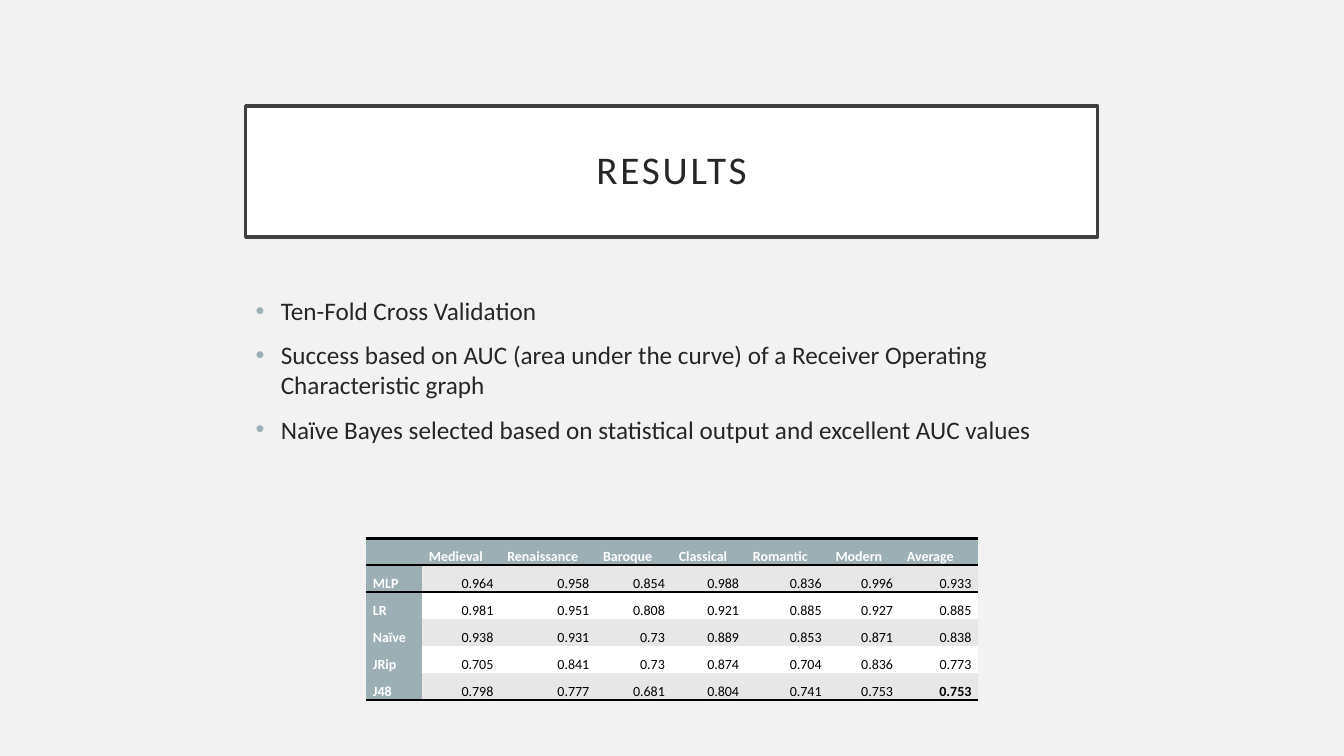
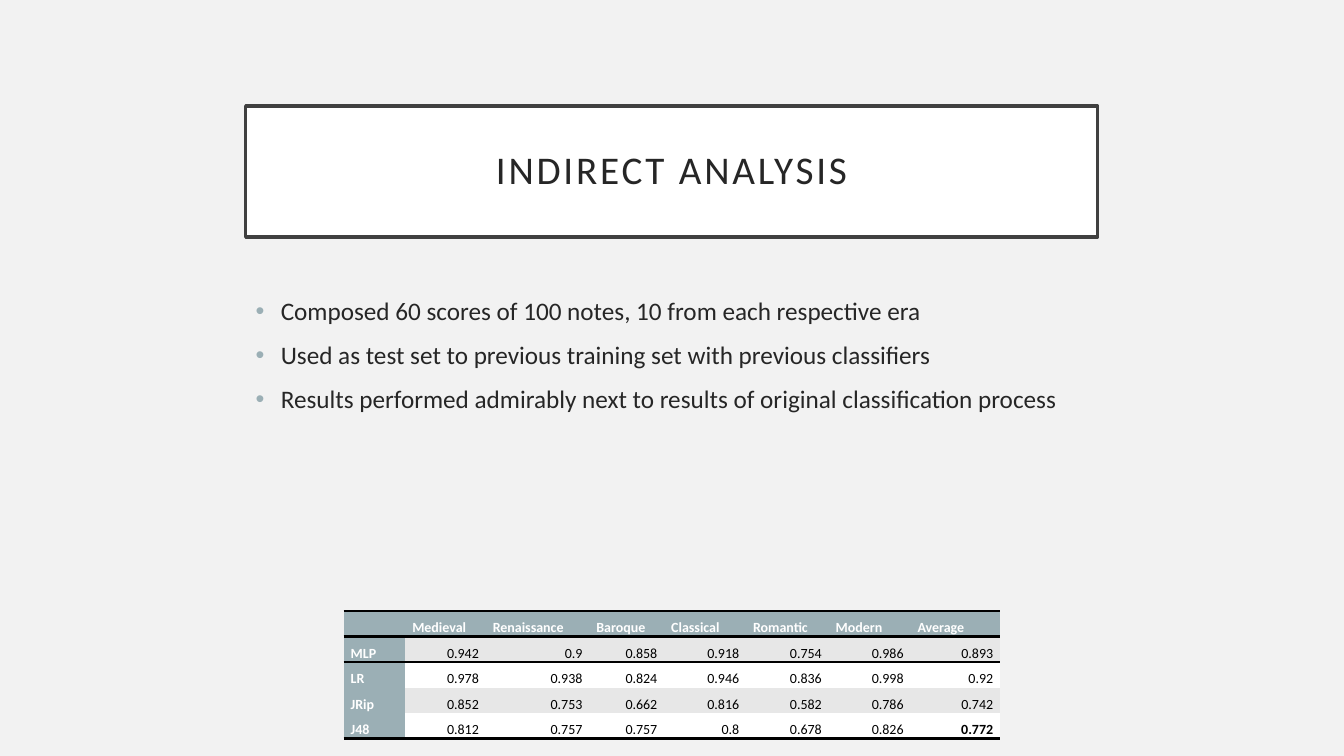
import pptx
import pptx.dml.color
import pptx.enum.shapes
import pptx.enum.text
import pptx.oxml.ns
import pptx.util
from lxml import etree

Pt = pptx.util.Pt
qn = pptx.oxml.ns.qn
ALIGN = pptx.enum.text.PP_ALIGN
ANCHOR = pptx.enum.text.MSO_ANCHOR

BACKGROUND, WHITE, BLACK = "F2F2F2", "FFFFFF", "000000"
INK, FRAME, ACCENT, BAND = "262626", "404040", "9BAFB5", "E7E7E7"
LEFT, WIDTH = 175.5, 608.5
PLAIN_TABLE_STYLE = "{2D5ABB26-0587-4C30-8999-92F81FD0307C}"

TITLE_FRAME = {
    "word_wrap": True, "vertical_anchor": ANCHOR.MIDDLE,
    "margin_left": Pt(14.4), "margin_right": Pt(14.4),
    "margin_top": Pt(14.4), "margin_bottom": Pt(14.4),
}
TITLE_PARAGRAPH = {"alignment": ALIGN.CENTER, "line_spacing": 0.9}
CELL_FORMAT = {
    "vertical_anchor": ANCHOR.BOTTOM,
    "margin_left": Pt(5), "margin_right": Pt(5),
    "margin_top": 0, "margin_bottom": 0,
}

ERAS = ["", "Medieval", "Renaissance", "Baroque", "Classical", "Romantic", "Modern", "Average"]
SLIDES = [
    {
        "title": "RESULTS",
        "points": [
            "Ten-Fold Cross Validation",
            "Success based on AUC (area under the curve) of a Receiver Operating Characteristic graph",
            "Naïve Bayes selected based on statistical output and excellent AUC values",
        ],
        "corner": (261.4, 384.5),
        "columns": [40, 56, 68.5, 54, 53, 59, 51, 56],
        "row_height": 19.3,
        "scores": [
            ["MLP", 0.964, 0.958, 0.854, 0.988, 0.836, 0.996, 0.933],
            ["LR", 0.981, 0.951, 0.808, 0.921, 0.885, 0.927, 0.885],
            ["Naïve", 0.938, 0.931, 0.73, 0.889, 0.853, 0.871, 0.838],
            ["JRip", 0.705, 0.841, 0.73, 0.874, 0.704, 0.836, 0.773],
            ["J48", 0.798, 0.777, 0.681, 0.804, 0.741, 0.753, 0.753],
        ],
    },
    {
        "title": "INDIRECT ANALYSIS",
        "points": [
            "Composed 60 scores of 100 notes, 10 from each respective era",
            "Used as test set to previous training set with previous classifiers",
            "Results performed admirably next to results of original classification process",
        ],
        "corner": (245.5, 436.5),
        "columns": [44, 57.5, 74, 53.5, 58.5, 59, 58.5, 64],
        "row_height": 18.2,
        "scores": [
            ["MLP", 0.942, 0.9, 0.858, 0.918, 0.754, 0.986, 0.893],
            ["LR", 0.978, 0.938, 0.824, 0.946, 0.836, 0.998, 0.92],
            ["JRip", 0.852, 0.753, 0.662, 0.816, 0.582, 0.786, 0.742],
            ["J48", 0.812, 0.757, 0.757, 0.8, 0.678, 0.826, 0.772],
        ],
    },
]


def rgb(value):
    return pptx.dml.color.RGBColor.from_string(value)


def add_run(paragraph, text, size, color, bold=False):
    run = paragraph.add_run()
    run.text = text
    for key, value in {"name": "Calibri", "size": Pt(size), "bold": bold}.items():
        setattr(run.font, key, value)
    run.font.color.rgb = rgb(color)
    return run


deck = pptx.Presentation()
deck.slide_width, deck.slide_height = Pt(960), Pt(540)
master_fill = deck.slide_master.background.fill
master_fill.solid()
master_fill.fore_color.rgb = rgb(BACKGROUND)

for content in SLIDES:
    slide = deck.slides.add_slide(deck.slide_layouts[6])

    # Framed title
    title = slide.shapes.add_shape(
        pptx.enum.shapes.MSO_SHAPE.RECTANGLE, Pt(LEFT), Pt(75.8), Pt(WIDTH), Pt(93.6))
    title.shadow.inherit = False
    title.fill.solid()
    title.fill.fore_color.rgb = rgb(WHITE)
    title.line.color.rgb = rgb(FRAME)
    title.line.width = Pt(2.5)
    for key, value in TITLE_FRAME.items():
        setattr(title.text_frame, key, value)
    heading = title.text_frame.paragraphs[0]
    for key, value in TITLE_PARAGRAPH.items():
        setattr(heading, key, value)
    add_run(heading, content["title"], 28, INK).font._element.set("spc", "200")

    # Bulleted points
    body = slide.shapes.add_textbox(Pt(LEFT), Pt(207.4), Pt(WIDTH), Pt(244)).text_frame
    body.word_wrap = True
    for index, point in enumerate(content["points"]):
        paragraph = body.add_paragraph() if index else body.paragraphs[0]
        paragraph.space_before = Pt(10)
        add_run(paragraph, point, 18, INK)
        properties = paragraph._p.get_or_add_pPr()
        properties.set("marL", str(Pt(18)))
        properties.set("indent", str(-Pt(18)))
        bullet_color = etree.SubElement(properties, qn("a:buClr"))
        etree.SubElement(bullet_color, qn("a:srgbClr"), val=ACCENT)
        etree.SubElement(properties, qn("a:buFont"), typeface="Arial")
        etree.SubElement(properties, qn("a:buChar"), char="•")

    # AUC table
    rows = [ERAS] + content["scores"]
    last_row, last_column = len(rows) - 1, len(ERAS) - 1
    left, top = content["corner"]
    auc_table = slide.shapes.add_table(
        len(rows), len(ERAS), Pt(left), Pt(top),
        Pt(sum(content["columns"])), Pt(content["row_height"] * len(rows))).table
    auc_table.horz_banding = False
    auc_table._tbl.tblPr.find(qn("a:tableStyleId")).text = PLAIN_TABLE_STYLE
    for column, width in zip(auc_table.columns, content["columns"]):
        column.width = Pt(width)
    for r, values in enumerate(rows):
        auc_table.rows[r].height = Pt(content["row_height"])
        edges = {0: ["a:lnT", "a:lnB"], 1: ["a:lnT"], last_row: ["a:lnB"]}.get(r, [])
        for c, value in enumerate(values):
            cell = auc_table.cell(r, c)
            is_label = r == 0 or c == 0
            for key, setting in CELL_FORMAT.items():
                setattr(cell, key, setting)
            for edge in edges:
                border = etree.SubElement(cell._tc.get_or_add_tcPr(), qn(edge), w=str(Pt(2)))
                border_fill = etree.SubElement(border, qn("a:solidFill"))
                etree.SubElement(border_fill, qn("a:srgbClr"), val=BLACK)
            cell.fill.solid()
            cell.fill.fore_color.rgb = rgb(ACCENT if is_label else BAND if r % 2 else WHITE)
            paragraph = cell.text_frame.paragraphs[0]
            paragraph.line_spacing = 1.5
            paragraph.alignment = ALIGN.LEFT if is_label else ALIGN.RIGHT
            if value == "":
                etree.SubElement(paragraph._p, qn("a:endParaRPr"), sz="1000")
            else:
                is_bold = is_label or (r, c) == (last_row, last_column)
                add_run(paragraph, str(value), 10, WHITE if is_label else BLACK, is_bold)

deck.save("out.pptx")
